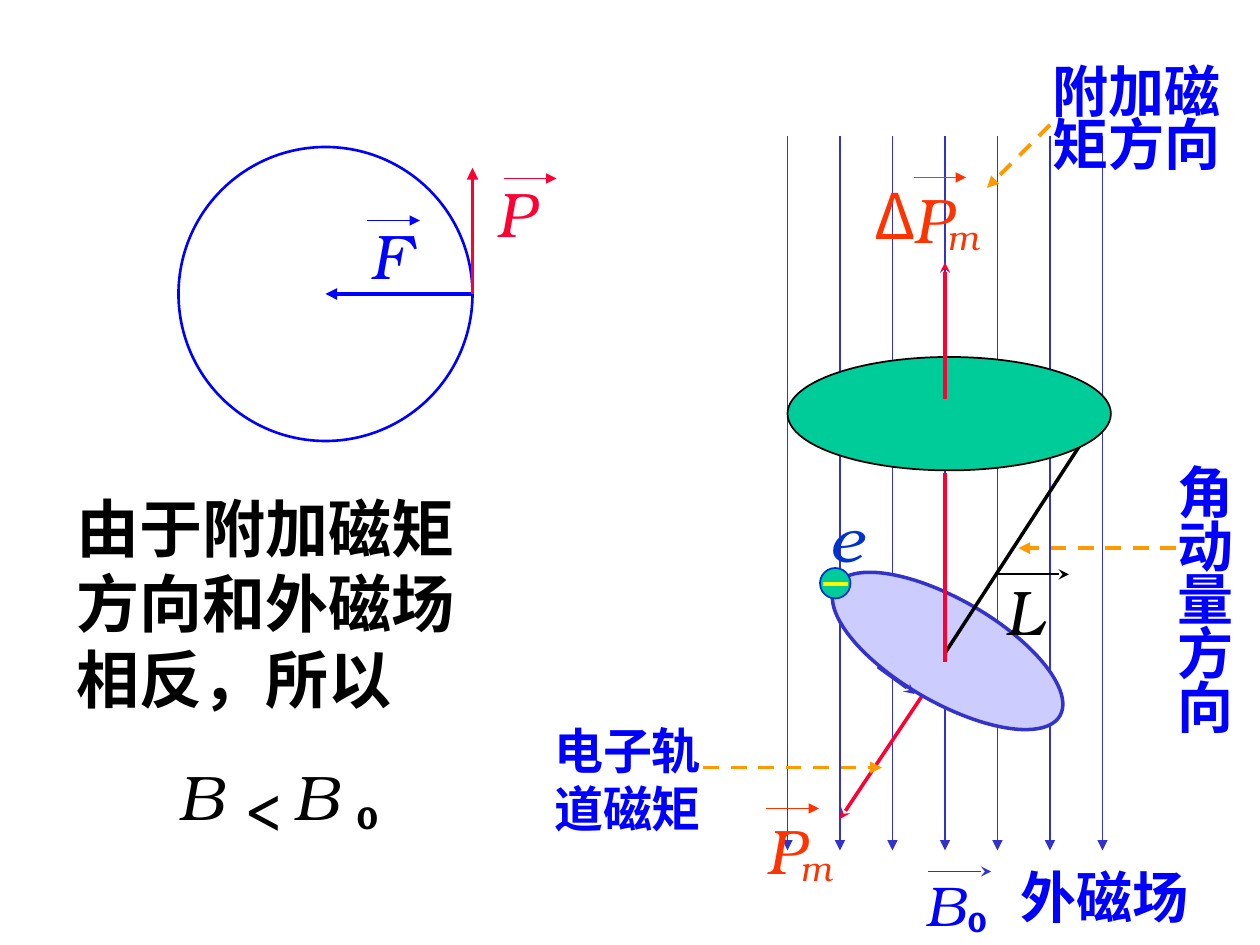
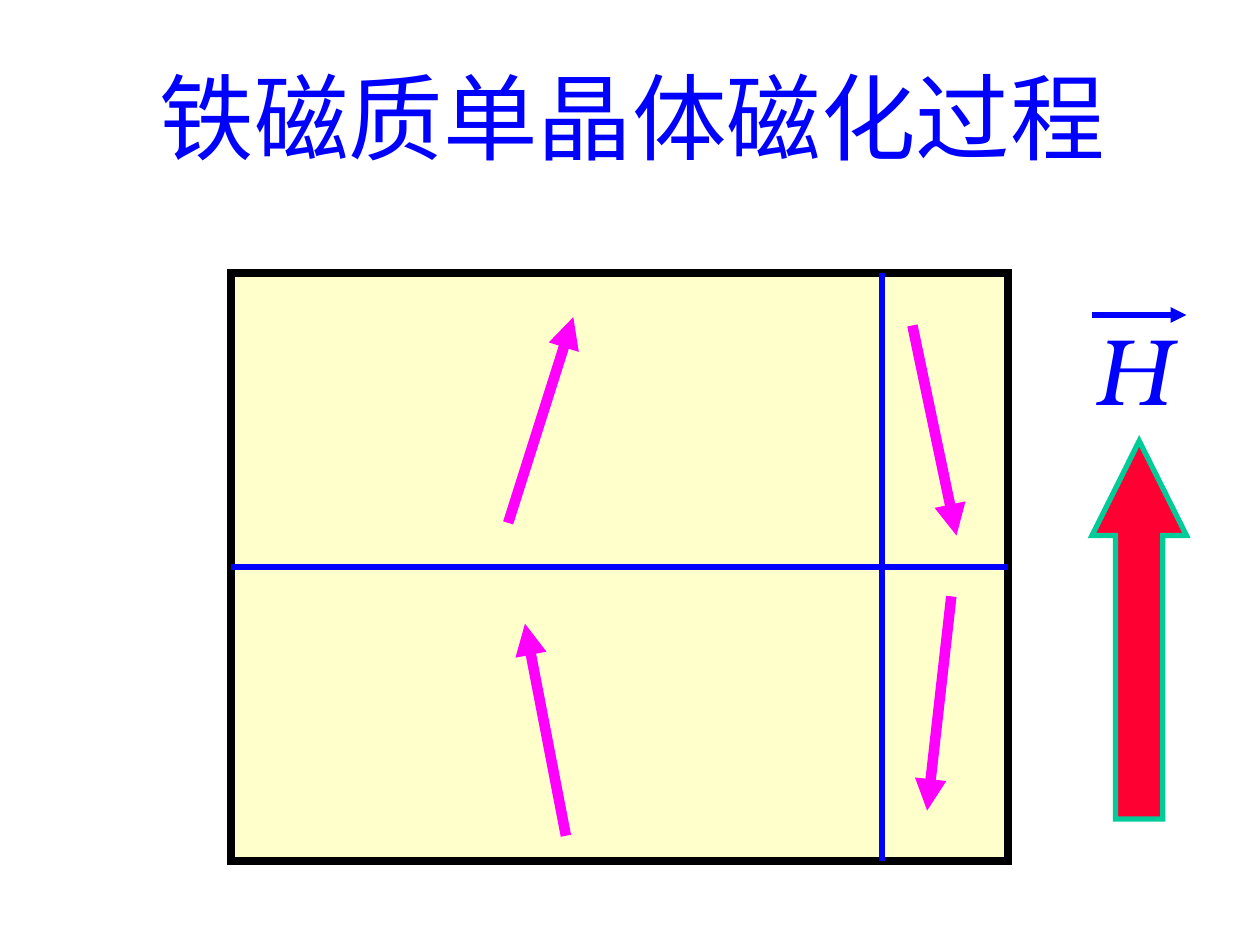
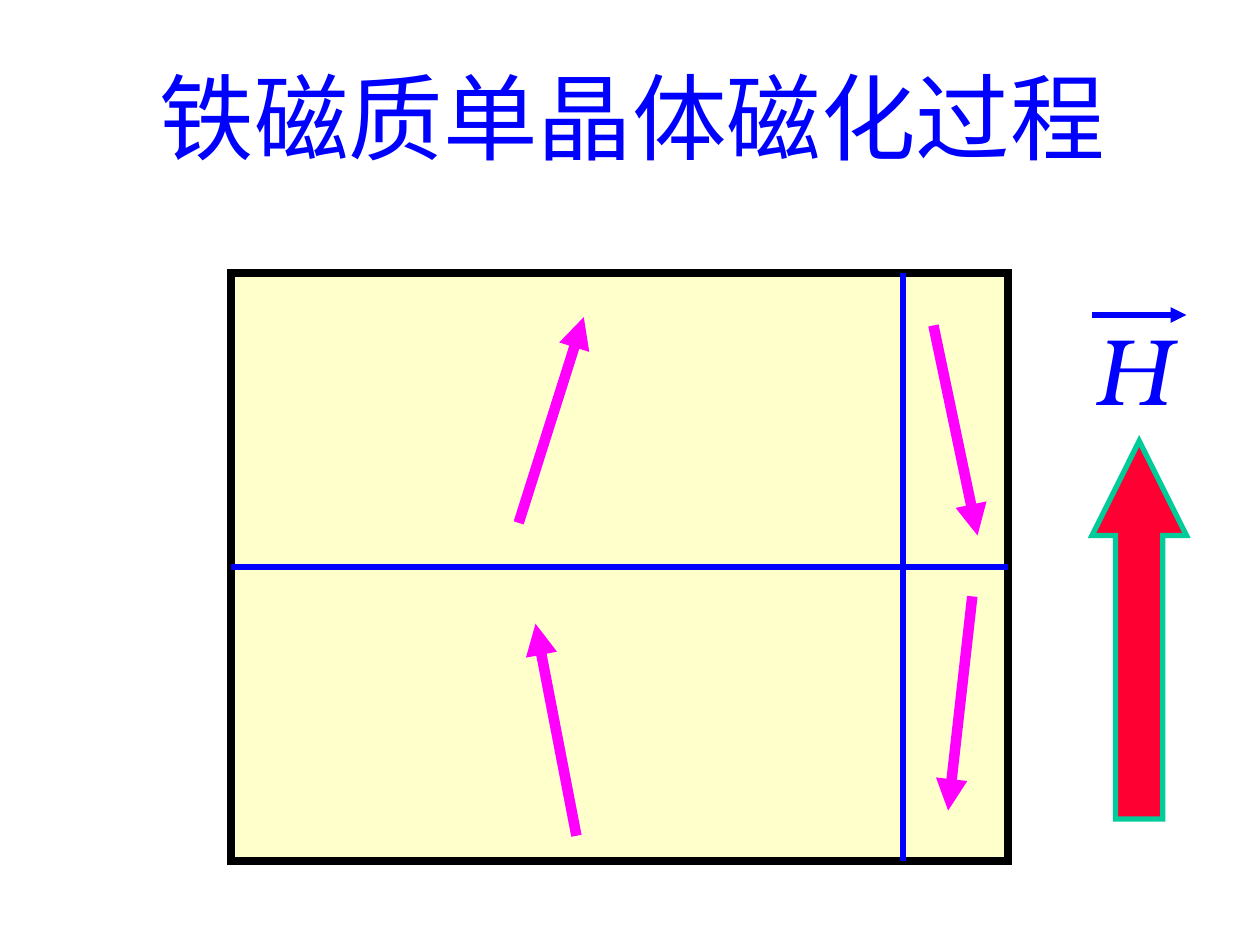
from pptx import Presentation
from pptx.dml.color import RGBColor
from pptx.enum.dml import MSO_LINE
from pptx.enum.shapes import MSO_CONNECTOR, MSO_SHAPE
from pptx.enum.text import MSO_ANCHOR, MSO_AUTO_SIZE, PP_ALIGN
from pptx.oxml.ns import qn
from pptx.util import Emu, Pt
from lxml.etree import SubElement

PX = 7620
SERIF, SANS = "TeX Gyre Bonum", "Noto Sans CJK SC"
BLUE, INDIGO, NAVY = "0000FF", "3333CC", "0033CC"
RED, ORANGE_RED, ORANGE = "FF0033", "FF3300", "FF9900"
BLACK, WHITE, GREEN, LAVENDER = "000000", "FFFFFF", "00CC99", "CCCCFF"
CREAM, MAGENTA, YELLOW = "FFFFCC", "FF00FF", "FFFF00"

FIELD_LINES = [((750 + 50 * i, 130), (750 + 50 * i, 810), INDIGO, 1, "triangle")
               for i in range(7)]
LAYERS = [
    (FIELD_LINES + [((880, 660), (800, 780), RED, 2, "stealth")],
     [((779, 571, 247, 98), LAVENDER, INDIGO, 2, 30),
      ((781, 541, 29, 29), GREEN, NAVY, 1, 0)]),
    ([((900, 622), (1050, 391), BLACK, 2, "stealth")],
     [((750, 340, 308, 108), GREEN, BLACK, 1, 0),
      ((170, 140, 280, 280), WHITE, BLUE, 1.5, 0)]),
    ([((784, 556), (808, 556), YELLOW, 2, None),
      ((450, 280), (310, 280), BLUE, 2.25, "triangle"),
      ((450, 280), (450, 160), RED, 2.25, "triangle"),
      ((350, 210), (400, 210), BLUE, 0.75, "triangle"),
      ((480, 170), (530, 170), RED, 0.75, "triangle"),
      ((900, 450), (900, 630), RED, 2, None),
      ((900, 380), (900, 250), RED, 2, "stealth"),
      ((884, 830), (944, 830), INDIGO, 1, "stealth"),
      ((948, 547), (1018, 547), BLACK, 1, "stealth")], []),
]
POINTERS = [((670, 731), (840, 731)), ((1120, 522), (970, 522)), ((1000, 119), (940, 179))]
ORBIT_DIRECTION = [(836, 635), (865, 656), (871, 661)]
MOMENTS = [(718, 767), (858, 166)]

SYMBOLS = [
    ("B", (870, 823, 62, 76), 32, BLUE),
    ("e", (778, 470, 56, 84), 36, NAVY),
    ("L", (946, 539, 59, 84), 36, BLACK),
    ("P", (461, 160, 60, 84), 36, RED),
    ("F", (341, 200, 61, 84), 36, BLUE),
]
LABELS = [
    ("0", (910, 856, 42, 44), 16, BLUE, SERIF, 1),
    ("外磁场", (960, 833, 184, 58), 32, BLUE, SERIF, 0.7),
    ("电子轨\n道磁矩", (516, 680, 170, 125), 28, BLUE, SANS, 1),
    ("角\n动\n量\n方\n向", (1110, 442, 78, 269), 32, BLUE, SERIF, 0.8),
    ("附加磁\n矩方向", (991, 60, 188, 115), 32, BLUE, SANS, 0.8),
    ("由于附加磁矩\n方向和外磁场\n相反，所以", (61, 460, 390, 228), 36, BLACK, SERIF, 1),
]
TIGHT = [
    ("Δ", (833, 168, 35, 72), 36, ORANGE_RED, dict(font=SANS)),
    ("<", (234, 730, 36, 72), 36, BLACK, {}),
    ("B", (170, 730, 43, 65), 36, BLACK, dict(italic=True, spacing=0.9)),
    ("0", (340, 760, 20, 36), 18, BLACK, dict(bold=True)),
    ("B", (280, 730, 50, 65), 36, BLACK, dict(italic=True, spacing=0.9, wrap=True)),
]

CRYSTAL_TITLE = "铁磁质单晶体磁化过程"
CRYSTAL = (220, 260, 740, 560)
WALL_X = 840
WALL_SHIFTS = [0, 20]
LEFT_DOMAINS = [((484, 498), (546, 302)), ((539, 796), (500, 594))]
RIGHT_DOMAINS = [((869, 310), (911, 510)), ((906, 568), (883, 772))]


def rgb(value):
    return RGBColor.from_string(value)


def px(values):
    return [Emu(value * PX) for value in values]


def style_line(shape, color, width, arrow=None):
    shape.line.color.rgb = rgb(color)
    shape.line.width = Pt(width)
    outline = shape.line._get_or_add_ln()
    SubElement(outline, qn("a:miter"), lim="800000")
    if arrow:
        SubElement(outline, qn("a:tailEnd"), type=arrow)


def add_line(slide, start, end, color, width, arrow=None, dashed=False):
    connector = slide.shapes.add_connector(MSO_CONNECTOR.STRAIGHT, *px(start + end))
    connector.line.color.rgb = rgb(color)
    if dashed:
        connector.line.dash_style = MSO_LINE.DASH
    style_line(connector, color, width, arrow)
    SubElement(connector._element.spPr, qn("a:effectLst"))
    return connector


def add_figure(slide, kind, box, fill, color, width, rotation=0):
    shape = slide.shapes.add_shape(kind, *px(box))
    shape.shadow.inherit = False
    shape.fill.solid()
    shape.fill.fore_color.rgb = rgb(fill)
    style_line(shape, color, width)
    shape.rotation = rotation
    return shape


def fill_text(shape, text, size, color, font=SERIF, bold=False, italic=False,
              spacing=1, wrap=False, tight=False):
    frame = shape.text_frame
    frame.text = text
    frame.word_wrap = wrap
    frame.auto_size = MSO_AUTO_SIZE.SHAPE_TO_FIT_TEXT
    frame.vertical_anchor = MSO_ANCHOR.TOP
    if tight:
        frame.margin_left = frame.margin_right = frame.margin_top = frame.margin_bottom = 0
    for paragraph in frame.paragraphs:
        paragraph.alignment = PP_ALIGN.LEFT
        paragraph.line_spacing = spacing
        for run in paragraph.runs:
            run.font.size = Pt(size)
            run.font.bold = bold
            run.font.italic = italic
            run.font.color.rgb = rgb(color)
            run.font.name = font
            SubElement(run._r.get_or_add_rPr(), qn("a:ea"), typeface=SANS)


def add_text(slide, text, box, size, color, **style):
    fill_text(slide.shapes.add_textbox(*px(box)), text, size, color, **style)


def add_moment(slide, x, y):
    add_text(slide, "P", (x, y, 60, 84), 36, ORANGE_RED, italic=True)
    add_text(slide, "m", (x + 32, y + 33, 53, 53), 20, ORANGE_RED, italic=True)
    add_line(slide, (x + 12, y + 3), (x + 62, y + 3), ORANGE_RED, 1, "triangle")


def build_precession(presentation):
    slide = presentation.slides.add_slide(presentation.slide_layouts[6])
    for lines, ovals in LAYERS:
        for line in lines:
            add_line(slide, *line)
        for oval in ovals:
            add_figure(slide, MSO_SHAPE.OVAL, *oval)
    builder = slide.shapes.build_freeform(*ORBIT_DIRECTION[0], scale=PX)
    builder.add_line_segments(ORBIT_DIRECTION[1:], close=False)
    curve = builder.convert_to_shape()
    curve.shadow.inherit = False
    curve.fill.background()
    style_line(curve, INDIGO, 2, "stealth")
    for start, end in POINTERS:
        add_line(slide, start, end, ORANGE, 2.25, "triangle", dashed=True)
    for x, y in MOMENTS:
        add_moment(slide, x, y)
    for symbol in SYMBOLS:
        add_text(slide, *symbol, italic=True)
    for text, box, size, color, font, spacing in LABELS:
        add_text(slide, text, box, size, color, font=font, bold=True, spacing=spacing)
    for text, box, size, color, style in TIGHT:
        add_text(slide, text, box, size, color, tight=True, **style)


def build_crystal(presentation, shift):
    slide = presentation.slides.add_slide(presentation.slide_layouts[5])
    title = slide.shapes.title
    title.left, title.top, title.width, title.height = px((140, 50, 950, 120))
    fill_text(title, CRYSTAL_TITLE, 54, BLUE, wrap=True)

    left, top, width, height = CRYSTAL
    crystal = add_figure(slide, MSO_SHAPE.RECTANGLE, CRYSTAL, CREAM, BLACK, 4.5)
    wall_x = WALL_X + shift
    add_line(slide, (wall_x, top), (wall_x, top + height), BLUE, 3)
    middle = top + height // 2
    divider = add_line(slide, (left, middle), (left + width, middle), BLUE, 3)
    divider.begin_connect(crystal, 1)
    divider.end_connect(crystal, 3)
    for domains, move in ((LEFT_DOMAINS, shift // 2), (RIGHT_DOMAINS, shift)):
        for (x1, y1), (x2, y2) in domains:
            add_line(slide, (x1 + move, y1), (x2 + move, y2), MAGENTA, 6, "triangle")

    field = add_figure(slide, MSO_SHAPE.UP_ARROW, (1040, 420, 90, 360), RED, GREEN, 3)
    field.adjustments[0] = 0.5
    field.adjustments[1] = 1
    add_text(slide, "H", (1031, 290, 96, 120), 54, BLUE, italic=True)
    add_line(slide, (1040, 300), (1130, 300), BLUE, 3, "triangle")


def main():
    presentation = Presentation()
    presentation.slide_width, presentation.slide_height = px((1200, 900))
    build_precession(presentation)
    for shift in WALL_SHIFTS:
        build_crystal(presentation, shift)
    presentation.save("out.pptx")


if __name__ == "__main__":
    main()
